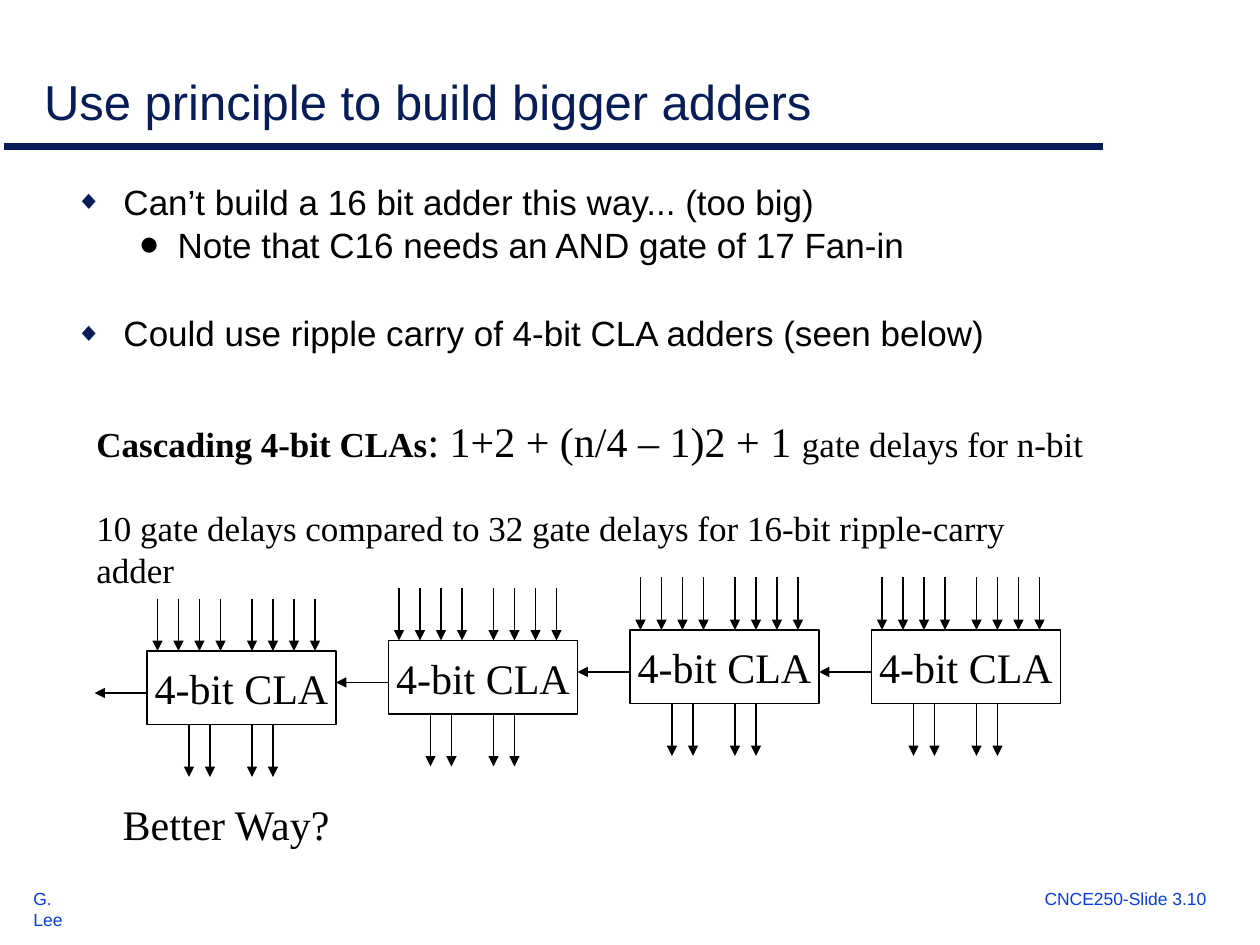
from lxml.etree import SubElement
from pptx import Presentation
from pptx.dml.color import RGBColor
from pptx.enum.shapes import MSO_CONNECTOR, MSO_SHAPE
from pptx.enum.text import MSO_ANCHOR, MSO_AUTO_SIZE, PP_ALIGN
from pptx.oxml.ns import qn
from pptx.util import Inches, Pt

NAVY = RGBColor(0x08, 0x1D, 0x58)
BLUE = RGBColor(0x06, 0x3D, 0xE8)
BLACK = RGBColor(0, 0, 0)
WHITE = RGBColor(255, 255, 255)
SERIF = "Times New Roman"
GRID = Inches(1) // 12  # columns and rows are a twelfth of an inch


def cells(*counts):
    return [round(count * GRID) for count in counts]


def write(paragraph, text, size=20, font="Arial", color=BLACK, bold=False,
          align=PP_ALIGN.LEFT):
    paragraph.alignment = align
    run = paragraph.add_run()
    run.text = text
    run.font.size = Pt(size)
    run.font.name = font
    run.font.bold = bold
    run.font.color.rgb = color


presentation = Presentation()
presentation.slide_width, presentation.slide_height = cells(120, 90)
slide = presentation.slides.add_slide(presentation.slide_layouts[1])
shapes = slide.shapes

# Title
title = shapes.title
title.left, title.top, title.width, title.height = cells(3, 3.5, 115, 9.5)
title.text_frame.vertical_anchor = MSO_ANCHOR.BOTTOM
title.text_frame.auto_size = MSO_AUTO_SIZE.NONE
write(title.text_frame.paragraphs[0], "Use principle to build bigger adders",
      size=28, color=NAVY)

# Bulleted list
body = slide.placeholders[1]
body.left, body.top, body.width, body.height = cells(6, 17, 101.6, 26.3)
body.text_frame.auto_size = MSO_AUTO_SIZE.NONE
bullets = [
    # text, level, space before
    ("Can’t build a 16 bit adder this way... (too big)", 0, 5),
    ("Note that C16 needs an AND gate of 17 Fan-in", 1, 5),
    ("Could use ripple carry of 4-bit CLA adders (seen below)", 0, 29.5),
]
level_styles = [
    # bullet, colour, size in percent, line spacing, margin, hanging indent
    ("◆", NAVY, 75, 0.9, 0.38, 0.38),
    ("●", BLACK, 100, 0.8, 0.81, 0.31),
]
for index, (text, level, space) in enumerate(bullets):
    mark, color, percent, spacing, margin, hanging = level_styles[level]
    paragraph = (body.text_frame.add_paragraph() if index
                 else body.text_frame.paragraphs[0])
    write(paragraph, text)
    paragraph.level = level
    paragraph.line_spacing = spacing
    paragraph.space_before = Pt(space)
    properties = paragraph._p.get_or_add_pPr()
    properties.set("marL", str(Inches(margin)))
    properties.set("indent", str(-Inches(hanging)))
    bullet_color = SubElement(properties, qn("a:buClr"))
    SubElement(bullet_color, qn("a:srgbClr"), val=str(color))
    SubElement(properties, qn("a:buSzPct"), val=str(percent * 1000))
    SubElement(properties, qn("a:buFont"), typeface="Arial")
    SubElement(properties, qn("a:buChar"), char=mark)

# Adder blocks, collecting the lines that join them
lines = [(0.4, 14, 105, 14, NAVY, 4, False)]  # rule under the title
block_width, block_height, arrow_length = 18, 7, 5
input_columns = (1, 3, 5, 7, 10, 12, 14, 16)
output_columns = (4, 6, 10, 12)
for left, top in ((83, 60), (60, 60), (37, 61), (14, 62)):
    block = shapes.add_shape(MSO_SHAPE.RECTANGLE,
                             *cells(left, top, block_width, block_height))
    block.shadow.inherit = False
    block.fill.solid()
    block.fill.fore_color.rgb = WHITE
    block.line.color.rgb = BLACK
    block.line.width = Pt(1)
    block.text_frame.word_wrap = False
    block.text_frame.vertical_anchor = MSO_ANCHOR.MIDDLE
    write(block.text_frame.paragraphs[0], "4-bit CLA", size=24, font=SERIF,
          align=PP_ALIGN.CENTER)
    bottom = top + block_height
    arrows = [(left + column, top - arrow_length, left + column, top)
              for column in input_columns]
    arrows += [(left + column, bottom, left + column, bottom + arrow_length)
               for column in output_columns]
    arrows.append((left, top + 4, left - arrow_length, top + 4))  # carry out
    lines += [(*arrow, BLACK, 1, True) for arrow in arrows]

# Title rule and arrows
for *ends, color, width, has_head in lines:
    connector = shapes.add_connector(MSO_CONNECTOR.STRAIGHT, *cells(*ends))
    connector.line.color.rgb = color
    connector.line.width = Pt(width)
    if has_head:
        SubElement(connector.line._get_or_add_ln(), qn("a:tailEnd"),
                   type="triangle")
    SubElement(connector._element.spPr, qn("a:effectLst"))

# Delay comparison
delays = shapes.add_textbox(*cells(8, 39, 97.2, 18)).text_frame
delays.word_wrap = True
formula = delays.paragraphs[0]
write(formula, "Cascading 4-bit CLAs", font=SERIF, bold=True)
write(formula, ": 1+2 + (n/4 – 1)2 + 1 ", size=24, font=SERIF)
write(formula, "gate delays for n-bit", font=SERIF)
comparison = delays.add_paragraph()
comparison.space_before = Pt(23)
write(comparison, "10 gate delays compared to 32 gate delays for 16-bit "
      "ripple-carry adder", font=SERIF)

# Closing question and footer
labels = [
    ("Better Way?", (10.5, 75.5, 22.4, 6), False,
     {"size": 24, "font": SERIF}),
    ("G. Lee", (2, 84, 7.3, 3.2), False, {"size": 10, "color": BLUE}),
    ("CNCE250-Slide 3.10", (98.3, 84, 23.5, 3.2), True,
     {"size": 10, "color": BLUE}),
]
for text, place, wraps, text_format in labels:
    label = shapes.add_textbox(*cells(*place)).text_frame
    label.word_wrap = wraps
    write(label.paragraphs[0], text, **text_format)

presentation.save("out.pptx")
